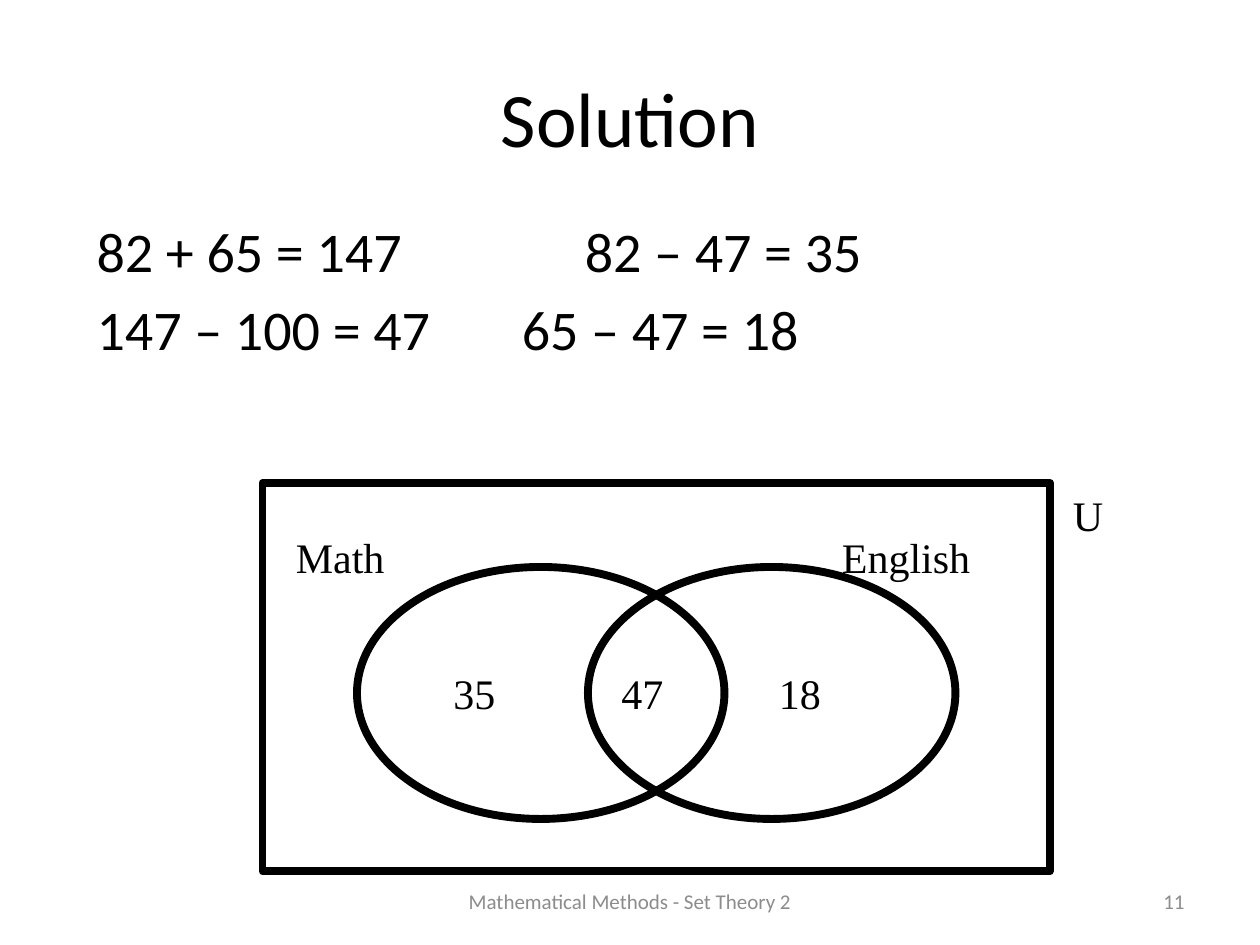
"""Build the Venn diagram solution slide."""
from dataclasses import dataclass

from lxml.etree import SubElement
from pptx import Presentation
from pptx.dml.color import RGBColor
from pptx.enum.shapes import MSO_SHAPE
from pptx.enum.text import MSO_ANCHOR, PP_ALIGN
from pptx.oxml.ns import qn
from pptx.shapes.base import BaseShape
from pptx.slide import Slide
from pptx.text.text import TextFrame
from pptx.util import Pt

RECT, OVAL = MSO_SHAPE.RECTANGLE, MSO_SHAPE.OVAL
TOP, MIDDLE = MSO_ANCHOR.TOP, MSO_ANCHOR.MIDDLE
LEFT, CENTER, RIGHT = PP_ALIGN.LEFT, PP_ALIGN.CENTER, PP_ALIGN.RIGHT


@dataclass(frozen=True)
class Theme:
    """Colours, fonts and sizes of the slide."""
    ink: RGBColor = RGBColor(0, 0, 0)
    gray: RGBColor = RGBColor(0x8C, 0x8C, 0x8C)
    sans: str = "Calibri"
    serif: str = "Times New Roman"
    title: float = 44
    body: float = 32
    label: float = 24
    foot: float = 12
    line: float = 4.5


THEME = Theme()


@dataclass(frozen=True)
class Box:
    """A place on the slide, in points."""
    left: float
    top: float
    width: float
    height: float


@dataclass(frozen=True)
class Style:
    """The look of a piece of text."""
    font: str
    size: float
    color: RGBColor
    align: PP_ALIGN = LEFT
    anchor: MSO_ANCHOR = TOP


@dataclass(frozen=True)
class Label:
    """A text and the box that holds it."""
    text: str
    box: Box
    style: Style


@dataclass(frozen=True)
class Region:
    """An outlined part of the diagram."""
    kind: MSO_SHAPE
    box: Box


HEAD = Style(THEME.sans, THEME.title, THEME.ink, CENTER, MIDDLE)
BODY = Style(THEME.sans, THEME.body, THEME.ink)
TAG = Style(THEME.serif, THEME.label, THEME.ink)
FOOT = Style(THEME.sans, THEME.foot, THEME.gray, CENTER, MIDDLE)
PAGE = Style(THEME.sans, THEME.foot, THEME.gray, RIGHT, MIDDLE)

SUMS = ("82 + 65 = 147\t\t\t82 – 47 = 35", "147 – 100 = 47\t\t65 – 47 = 18")
INDENT = 27
NAME_TOP, COUNT_TOP, TAG_HIGH = 300, 378, 36

REGIONS = (
    Region(RECT, Box(150, 276, 450, 222)),
    *(Region(OVAL, Box(left, 324, 210, 144)) for left in (204, 336)),
)
LABELS = (
    Label("U", Box(606, 276, 54, TAG_HIGH), TAG),
    Label("47", Box(348, COUNT_TOP, 48, TAG_HIGH), TAG),
    Label("Math", Box(162, NAME_TOP, 138, TAG_HIGH), TAG),
    Label("English", Box(474, NAME_TOP, 132, TAG_HIGH), TAG),
    Label("35", Box(252, COUNT_TOP, 54, TAG_HIGH), TAG),
    Label("18", Box(438, COUNT_TOP, 60, TAG_HIGH), TAG),
    Label("Mathematical Methods - Set Theory 2", Box(246, 500.5, 228, 28.75), FOOT),
    Label("11", Box(516, 500.5, 168, 28.75), PAGE),
)


def place(shape: BaseShape, box: Box) -> None:
    """Move and size a shape."""
    shape.left, shape.top = Pt(box.left), Pt(box.top)
    shape.width, shape.height = Pt(box.width), Pt(box.height)


def write(frame: TextFrame, lines: tuple[str, ...], style: Style) -> None:
    """Fill a frame with one paragraph for each line."""
    frame.word_wrap = True
    frame.vertical_anchor = style.anchor
    for i, line in enumerate(lines):
        para = frame.add_paragraph() if i else frame.paragraphs[0]
        para.alignment = style.align
        run = para.add_run()
        run.text = line
        run.font.name, run.font.size = style.font, Pt(style.size)
        run.font.color.rgb = style.color


def hang(frame: TextFrame) -> None:
    """Give plain paragraphs a hanging indent."""
    for para in frame.paragraphs:
        props = para._p.get_or_add_pPr()
        props.set("marL", str(Pt(INDENT)))
        props.set("indent", str(-Pt(INDENT)))
        SubElement(props, qn("a:buNone"))


def draw_region(slide: Slide, region: Region) -> None:
    """Draw an unfilled outline."""
    box = region.box
    shape = slide.shapes.add_shape(
        region.kind, Pt(box.left), Pt(box.top), Pt(box.width), Pt(box.height))
    shape.shadow.inherit = False
    shape.fill.background()
    shape.line.color.rgb = THEME.ink
    shape.line.width = Pt(THEME.line)


def draw_label(slide: Slide, label: Label) -> None:
    """Draw a text box."""
    box = label.box
    shape = slide.shapes.add_textbox(
        Pt(box.left), Pt(box.top), Pt(box.width), Pt(box.height))
    write(shape.text_frame, (label.text,), label.style)


def main() -> None:
    """Build and save the slide."""
    deck = Presentation()
    deck.slide_width, deck.slide_height = Pt(720), Pt(540)
    slide = deck.slides.add_slide(deck.slide_layouts[1])
    title, body = slide.placeholders
    place(title, Box(36, 21.6, 648, 90))
    write(title.text_frame, ("Solution",), HEAD)
    place(body, Box(48, 120, 612, 360))
    write(body.text_frame, SUMS, BODY)
    hang(body.text_frame)
    for region in REGIONS:
        draw_region(slide, region)
    for label in LABELS:
        draw_label(slide, label)
    deck.save("out.pptx")


if __name__ == "__main__":
    main()
